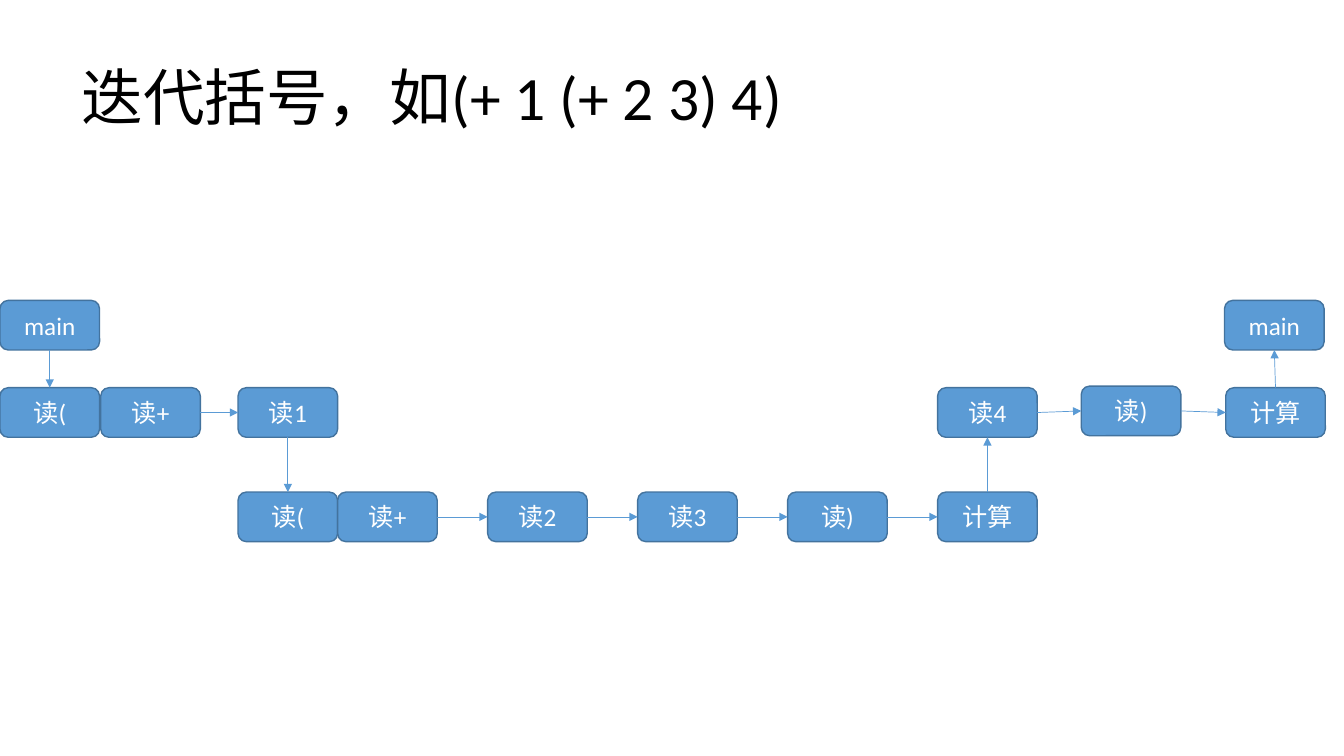
import pptx
import pptx.util
import pptx.dml.color
import pptx.enum.shapes
import pptx.enum.text
import pptx.oxml
import pptx.oxml.ns

Cm, Pt = pptx.util.Cm, pptx.util.Pt
BLUE, EDGE = "5B9BD5", "43739E"
WIDE, HIGH = 2.51, 1.25
TOP, MID, LOW = 7.57, 9.77, 12.4
INNER, STEP = 8.51, 3.78

# Connection sites of a box
UP, LEFT, DOWN, RIGHT = range(4)
FACING = {UP: DOWN, DOWN: UP, RIGHT: LEFT}

# Text, left, top, and the side where the arrow to the next box leaves
CALLS = [
    ("main", 0, TOP, DOWN),
    ("读(", 0, MID, None),
    ("读+", 2.54, MID, RIGHT),
    ("读1", 6, MID, DOWN),
    ("读(", 6, LOW, None),
    *[(text, INNER + i * STEP, LOW, RIGHT)
      for i, text in enumerate(["读+", "读2", "读3", "读)"])],
    ("计算", INNER + 4 * STEP, LOW, UP),
    ("读4", INNER + 4 * STEP, MID, RIGHT),
    ("读)", 27.25, 9.73, RIGHT),
    ("计算", 30.89, MID, UP),
    ("main", 30.86, TOP, None),
]


def color(code):
    return pptx.dml.color.RGBColor.from_string(code)


def style(frame, size, code, align):
    frame.vertical_anchor = pptx.enum.text.MSO_ANCHOR.MIDDLE
    para = frame.paragraphs[0]
    para.alignment = align
    for run in para.runs:
        run.font.size = Pt(size)
        run.font.name = "Calibri"
        run.font.color.rgb = color(code)


def add_title(slide, text):
    title = slide.shapes.title
    title.left, title.top = Cm(1.8), Cm(0.69)
    title.width, title.height = Cm(29.21), Cm(3.68)
    frame = title.text_frame
    frame.text = text
    frame.auto_size = pptx.enum.text.MSO_AUTO_SIZE.NONE
    frame.paragraphs[0].line_spacing = 0.9
    style(frame, 44, "000000", pptx.enum.text.PP_ALIGN.LEFT)


def add_box(slide, text, left, top):
    box = slide.shapes.add_shape(
        pptx.enum.shapes.MSO_SHAPE.ROUNDED_RECTANGLE,
        Cm(left), Cm(top), Cm(WIDE), Cm(HIGH))
    box.shadow.inherit = False
    box.fill.solid()
    box.fill.fore_color.rgb = color(BLUE)
    box.line.color.rgb = color(EDGE)
    box.line.width = Pt(1)
    box.text_frame.text = text
    style(box.text_frame, 18, "FFFFFF", pptx.enum.text.PP_ALIGN.CENTER)
    return box


def add_arrow(slide, start, end, side):
    arrow = slide.shapes.add_connector(
        pptx.enum.shapes.MSO_CONNECTOR.STRAIGHT, 0, 0, 0, 0)
    arrow.begin_connect(start, side)
    arrow.end_connect(end, FACING[side])
    arrow.line.color.rgb = color(BLUE)
    arrow.line.width = Pt(0.5)
    # Arrowhead and no shadow
    head = pptx.oxml.parse_xml(
        "<a:tailEnd %s type='triangle'/>" % pptx.oxml.ns.nsdecls("a"))
    arrow.line._get_or_add_ln().append(head)
    arrow._element.spPr.append(pptx.oxml.parse_xml(
        "<a:effectLst %s/>" % pptx.oxml.ns.nsdecls("a")))


def main():
    deck = pptx.Presentation()
    deck.slide_width, deck.slide_height = Cm(33.87), Cm(19.05)
    slide = deck.slides.add_slide(deck.slide_layouts[5])
    add_title(slide, "迭代括号，如(+ 1 (+ 2 3) 4)")

    # Boxes in the order of the calls, then the arrows between them
    boxes = [add_box(slide, text, left, top) for text, left, top, _ in CALLS]
    for start, end, call in zip(boxes, boxes[1:], CALLS):
        if call[3] is not None:
            add_arrow(slide, start, end, call[3])

    deck.save("out.pptx")


main()
